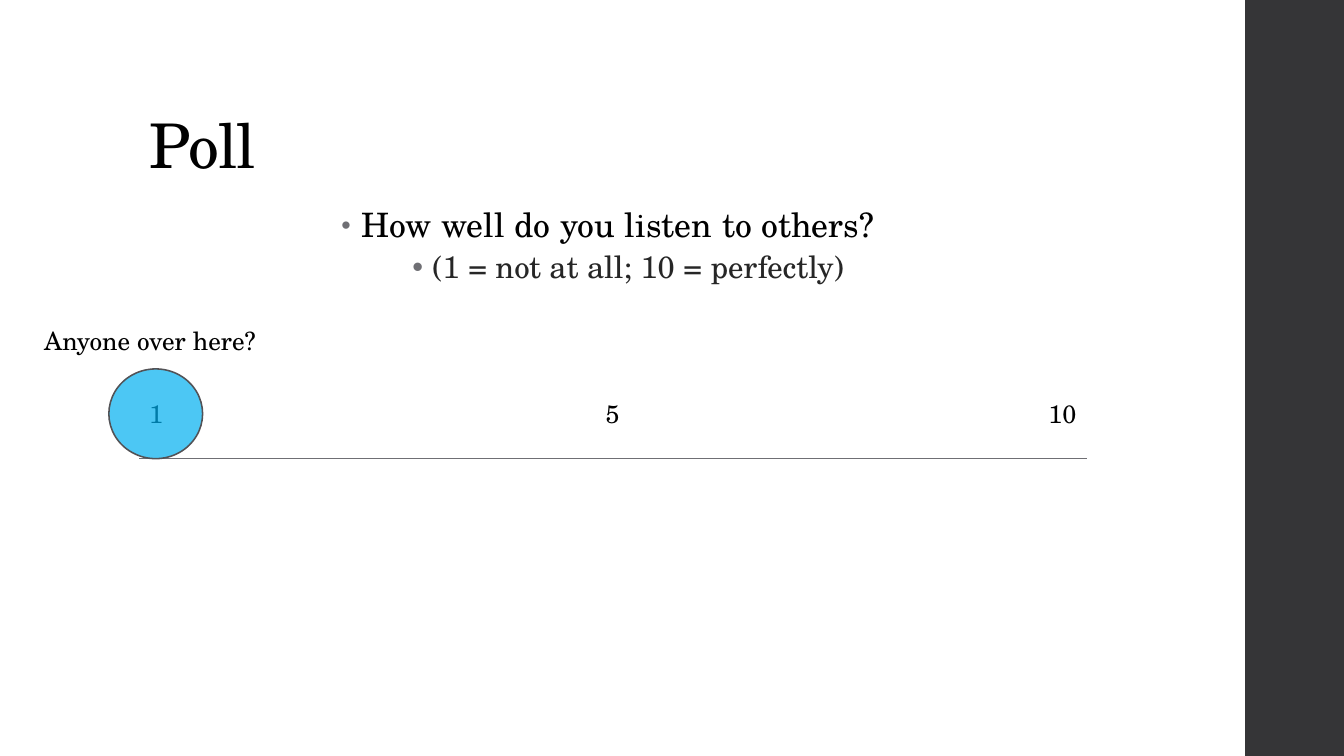
from lxml import etree
from pptx import Presentation, util as u
from pptx.dml.color import RGBColor
from pptx.enum import shapes, text
from pptx.oxml.ns import qn

BLACK = RGBColor(0x00, 0x00, 0x00)
SOFT = RGBColor(0x26, 0x26, 0x26)
GREY = RGBColor(0x6F, 0x6F, 0x74)
EDGE = RGBColor(0x52, 0x52, 0x56)
SIDE = RGBColor(0x35, 0x35, 0x37)
BLUE = RGBColor(0x00, 0xB0, 0xF0)
FONT = "TeX Gyre Schola"
LEFT, RIGHT, BASE = 1.38, 10.78, 4.55
ROW, TALL = 3.9, 0.4


def place(item, *box):
    item.left, item.top, item.width, item.height = map(u.Inches, box)


def write(para, words, size, color=BLACK, gap=0):
    run = para.add_run()
    run.text = words
    run.font.size = u.Pt(size)
    run.font.name = FONT
    run.font.color.rgb = color
    if gap:
        run.font._element.set("spc", str(gap))


deck = Presentation()
deck.slide_width, deck.slide_height = u.Inches(13.33), u.Inches(7.5)
slide = deck.slides.add_slide(deck.slide_layouts[1])
parts = slide.shapes

bar = parts.add_shape(shapes.MSO_SHAPE.RECTANGLE, u.Inches(12.35), 0, u.Inches(0.98), deck.slide_height)
bar.shadow.inherit = False
bar.fill.solid()
bar.fill.fore_color.rgb = SIDE
bar.line.fill.background()

title = parts.title
place(title, LEFT, 0.4, 10.6, 1.45)
frame = title.text_frame
frame.auto_size = text.MSO_AUTO_SIZE.NONE
frame.vertical_anchor = text.MSO_ANCHOR.BOTTOM
para = frame.paragraphs[0]
para.alignment = text.PP_ALIGN.LEFT
para.line_spacing = 0.9
write(para, "Poll", 44, gap=-50)

body = slide.placeholders[1]
place(body, LEFT, 2, RIGHT - LEFT, 5.1)
frame = body.text_frame
frame.auto_size = text.MSO_AUTO_SIZE.NONE
lines = [
    ("How well do you listen to others? ", 24, BLACK, 10, 0.2, 0.95, 14, 2, 80),
    ("(1 = not at all; 10 = perfectly)", 22, SOFT, 0, 0.5, 0.9, 3, 3, 100),
]
for level, (words, size, color, gap, indent, pitch, above, below, scale) in enumerate(lines):
    para = frame.add_paragraph() if level else frame.paragraphs[0]
    para.level = level
    para.alignment = text.PP_ALIGN.CENTER
    para.line_spacing = pitch
    para.space_before, para.space_after = u.Pt(above), u.Pt(below)
    props = para._p.get_or_add_pPr()
    props.set("marL", str(u.Inches(indent)))
    props.set("indent", str(u.Inches(-0.2)))
    tint = etree.SubElement(props, qn("a:buClr"))
    etree.SubElement(tint, qn("a:srgbClr"), val=str(GREY))
    etree.SubElement(props, qn("a:buSzPct"), val=str(scale * 1000))
    etree.SubElement(props, qn("a:buFont"), typeface="Arial")
    etree.SubElement(props, qn("a:buChar"), char="•")
    write(para, words, size, color, gap)

scale = parts.add_connector(
    shapes.MSO_CONNECTOR.STRAIGHT, *map(u.Inches, (LEFT, BASE, RIGHT, BASE)))
scale.line.color.rgb = GREY
scale.line.width = u.Pt(0.75)
etree.SubElement(scale._element.spPr, qn("a:effectLst"))

labels = [
    ("1", LEFT, ROW, 0.34),
    ("10", RIGHT - 0.48, ROW, 0.48),
    ("5", 5.91, ROW, 0.34),
    ("Anyone over here?", 0.34, 3.18, 2.42),
]
for words, left, top, wide in labels:
    label = parts.add_textbox(*map(u.Inches, (left, top, wide, TALL)))
    label.text_frame.word_wrap = False
    label.text_frame.auto_size = text.MSO_AUTO_SIZE.SHAPE_TO_FIT_TEXT
    write(label.text_frame.paragraphs[0], words, 18)

spot = parts.add_shape(shapes.MSO_SHAPE.OVAL, *map(u.Inches, (1.08, BASE - 0.89, 0.93, 0.89)))
spot.shadow.inherit = False
spot.fill.solid()
spot.fill.fore_color.rgb = BLUE
shade = spot._element.spPr.find(qn("a:solidFill")).find(qn("a:srgbClr"))
etree.SubElement(shade, qn("a:alpha"), val="70000")
spot.line.color.rgb = EDGE
spot.line.width = u.Pt(1.1)

deck.save("out.pptx")
